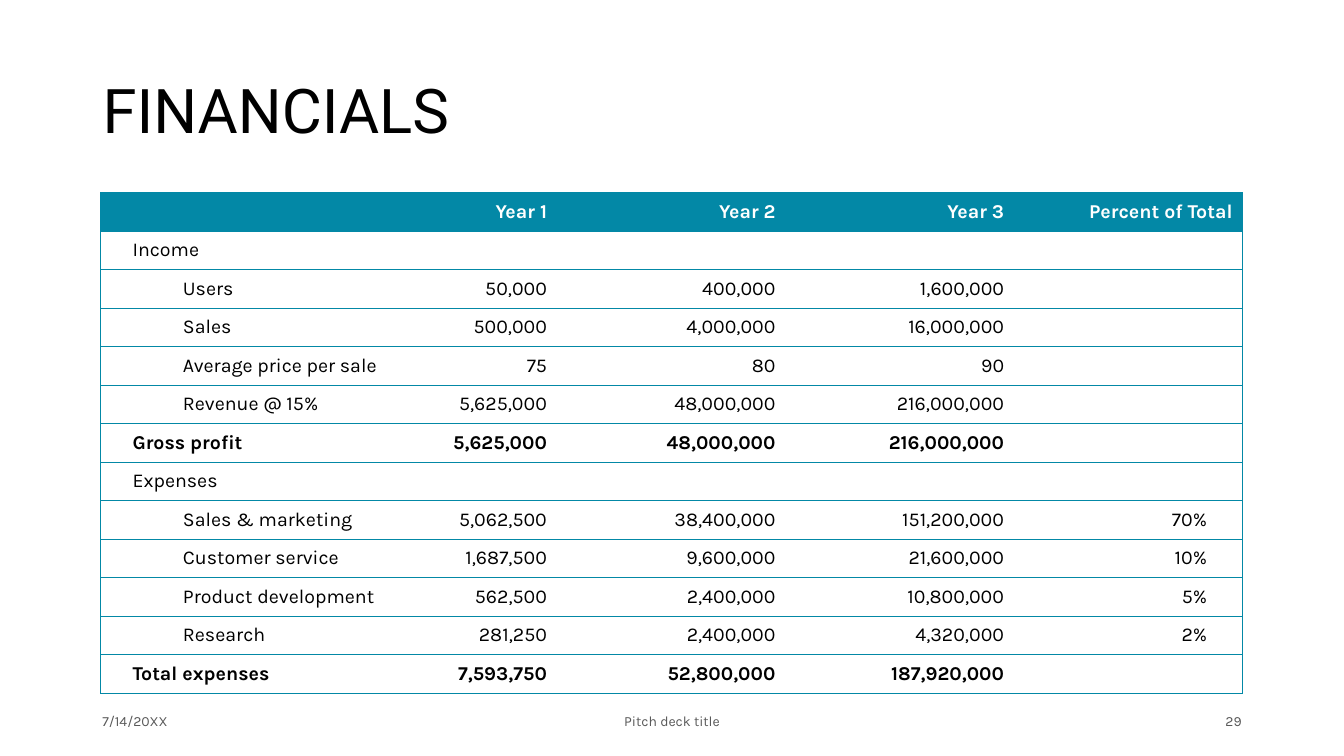
from dataclasses import dataclass

from lxml.etree import SubElement
from pptx import Presentation
from pptx.dml.color import RGBColor as Color
from pptx.enum.text import MSO_ANCHOR as Anchor, PP_ALIGN as Align
from pptx.oxml.ns import qn
from pptx.slide import Slide
from pptx.table import Table, _Cell as Cell
from pptx.text.text import TextFrame
from pptx.util import Cm, Pt


@dataclass(frozen=True)
class Theme:
    teal: str = "0388A6"
    black: str = "000000"
    white: str = "FFFFFF"
    gray: str = "595959"
    head: str = "Roboto"
    body: str = "Karla"
    title: float = 44
    table: float = 14
    foot: float = 10
    line: float = 0.5


@dataclass(frozen=True)
class Row:
    label: str
    values: tuple[str, ...] = ()
    level: int = 0
    bold: bool = False
    header: bool = False


@dataclass(frozen=True)
class Note:
    text: str
    left: float
    width: float
    align: Align


THEME = Theme()
WIDTHS = (7.49, 4.01, 5.76, 5.76, 5.76)
HEIGHT = 0.97
ROWS = (
    Row("", ("Year 1", "Year 2", "Year 3", "Percent of Total"), bold=True, header=True),
    Row("Income"),
    Row("Users", ("50,000", "400,000", "1,600,000"), 1),
    Row("Sales", ("500,000", "4,000,000", "16,000,000"), 1),
    Row("Average price per sale", ("75", "80", "90"), 1),
    Row("Revenue @ 15%", ("5,625,000", "48,000,000", "216,000,000"), 1),
    Row("Gross profit", ("5,625,000", "48,000,000", "216,000,000"), bold=True),
    Row("Expenses"),
    Row("Sales & marketing", ("5,062,500", "38,400,000", "151,200,000", "70%"), 1),
    Row("Customer service", ("1,687,500", "9,600,000", "21,600,000", "10%"), 1),
    Row("Product development", ("562,500", "2,400,000", "10,800,000", "5%"), 1),
    Row("Research", ("281,250", "2,400,000", "4,320,000", "2%"), 1),
    Row("Total expenses", ("7,593,750", "52,800,000", "187,920,000"), bold=True),
)
NOTES = (
    Note("7/14/20XX", 2.33, 7.62, Align.LEFT),
    Note("Pitch deck title", 11.22, 11.43, Align.CENTER),
    Note("29", 23.92, 7.62, Align.RIGHT),
)


def style(frame: TextFrame, text: str, face: str, size: float, color: str,
          align: Align = Align.LEFT, bold: bool = False) -> None:
    frame.text = text
    para = frame.paragraphs[0]
    para.alignment = align
    for run in para.runs:
        font = run.font
        font.name, font.size, font.bold = face, Pt(size), bold
        font.color.rgb = Color.from_string(color)
    if not text:  # keeps an empty cell from growing its row
        SubElement(para._p, qn("a:endParaRPr"), sz=str(int(size * 100)))


def border(cell: Cell, first: bool, last: bool) -> None:
    props = cell._tc.get_or_add_tcPr()
    for side, shown in (("L", first), ("R", last), ("T", True), ("B", True)):
        line = SubElement(props, qn(f"a:ln{side}"), w=str(Pt(THEME.line)))
        if shown:
            fill = SubElement(line, qn("a:solidFill"))
            SubElement(fill, qn("a:srgbClr"), val=THEME.teal)
        else:
            SubElement(line, qn("a:noFill"))


def add_row(table: Table, index: int, row: Row) -> None:
    table.rows[index].height = Cm(HEIGHT)
    end = len(WIDTHS) - 1
    texts = (row.label, *row.values) + ("",) * (end - len(row.values))
    for col, text in enumerate(texts):
        cell = table.cell(index, col)
        cell.vertical_anchor = Anchor.MIDDLE
        style(cell.text_frame, text, THEME.body, THEME.table,
              THEME.white if row.header else THEME.black,
              Align.RIGHT if col else Align.LEFT, row.bold)
        border(cell, col == 0, col == end)
        if row.header:
            cell.fill.solid()
            cell.fill.fore_color.rgb = Color.from_string(THEME.teal)
            continue
        cell.fill.background()
        if col == 0:
            cell.margin_left = Cm(0.8)
            if row.level:
                para = cell.text_frame.paragraphs[0]
                para.level = row.level
                para._p.get_or_add_pPr().set("marL", str(Cm(1.27)))
        elif col == end:
            cell.margin_right = Cm(0.9)


def add_title(slide: Slide, text: str) -> None:
    title = slide.shapes.title
    title.left, title.top = Cm(2.33), Cm(1.02)
    title.width, title.height = Cm(29.21), Cm(3.68)
    frame = title.text_frame
    frame.vertical_anchor = Anchor.MIDDLE
    style(frame, text, THEME.head, THEME.title, THEME.black)
    frame.paragraphs[0].line_spacing = 0.9


def add_table(slide: Slide) -> None:
    frame = slide.shapes.add_table(len(ROWS), len(WIDTHS), Cm(2.54), Cm(4.85),
                                   Cm(sum(WIDTHS)), Cm(HEIGHT * len(ROWS)))
    table = frame.table
    table.horz_banding = False
    for col, width in zip(table.columns, WIDTHS):
        col.width = Cm(width)
    for index, row in enumerate(ROWS):
        add_row(table, index, row)


def add_note(slide: Slide, note: Note) -> None:
    box = slide.shapes.add_textbox(Cm(note.left), Cm(17.65), Cm(note.width), Cm(1.01))
    frame = box.text_frame
    frame.word_wrap = True
    frame.vertical_anchor = Anchor.MIDDLE
    style(frame, note.text, THEME.body, THEME.foot, THEME.gray, note.align)


def main() -> None:
    deck = Presentation()
    deck.slide_width, deck.slide_height = Cm(33.87), Cm(19.05)
    slide = deck.slides.add_slide(deck.slide_layouts[5])
    # Title and figures
    add_title(slide, "FINANCIALS")
    add_table(slide)
    # Footer
    for note in NOTES:
        add_note(slide, note)
    deck.save("out.pptx")


if __name__ == "__main__":
    main()
